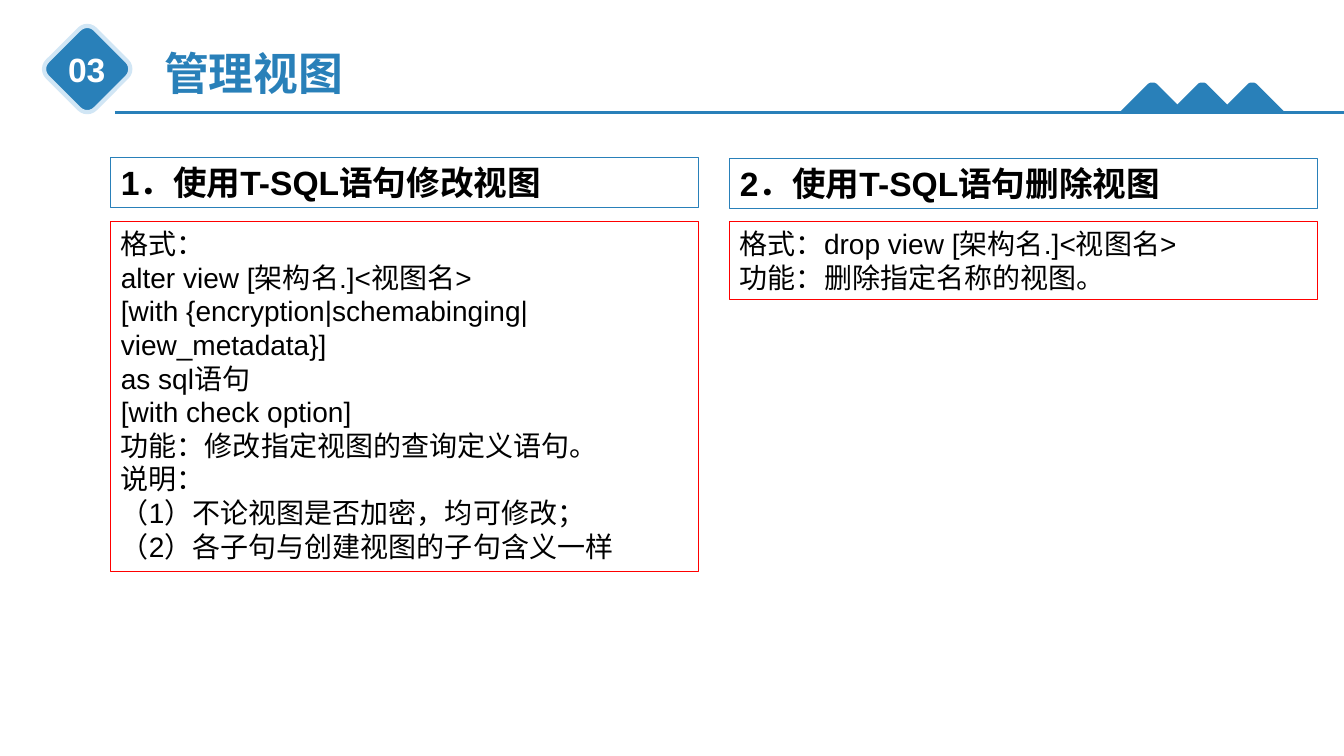
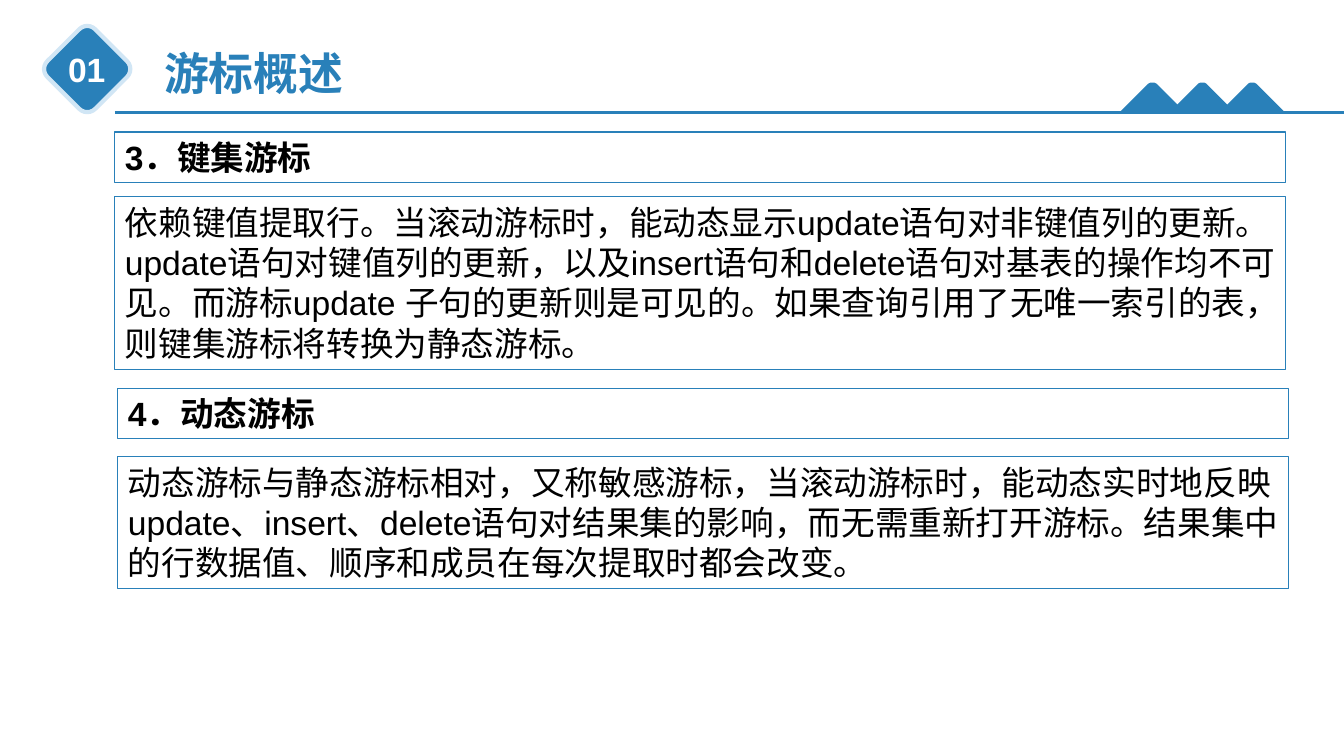
from lxml import etree
from pptx import Presentation
from pptx.dml.color import RGBColor
from pptx.enum import shapes, text
from pptx.oxml import ns
from pptx.util import Inches, Pt

BLUE, PALE, RED, BLACK, WHITE = "2980B9", "D1E6F5", "FF0000", "000000", "FFFFFF"
FONT = "Arial"


def rgb(value):
    return RGBColor.from_string(value)


def set_all(target, values):
    for name, value in values.items():
        setattr(target, name, value)


class Deck:
    """Holds the shared style and the slide being built."""

    HEADING = {"size": Pt(24), "bold": True}
    BODY = {"size": Pt(24), "bold": False}
    SYNTAX = {"size": Pt(20), "bold": False}
    TITLE = {"size": Pt(32), "bold": True}

    def __init__(self):
        self.prs = Presentation()
        set_all(self.prs, {"slide_width": Inches(13.33), "slide_height": Inches(7.5)})
        self.slide = None

    def new_slide(self, number, title):
        self.slide = self.prs.slides.add_slide(self.prs.slide_layouts[6])
        self.badge()
        self.rule()
        self.label(1.53, 0.4, 2, 0.64, title, self.TITLE, BLUE, text.PP_ALIGN.LEFT)
        self.label(0.57, 0.44, 0.58, 0.5, number, self.HEADING, WHITE, text.PP_ALIGN.CENTER)
        for index in range(3):
            self.peak(11.43 + 0.495 * index)

    def paint(self, shape, fill=None, line=None, width=0.75):
        shape.shadow.inherit = False
        for part, color in ((shape.fill, fill), (shape.line.fill, line)):
            if color:
                part.solid()
                part.fore_color.rgb = rgb(color)
            else:
                part.background()
        if line:
            shape.line.width = Pt(width)

    def fill_text(self, frame, lines, style, color, align=text.PP_ALIGN.LEFT, wrap=True):
        set_all(frame, {"word_wrap": wrap,
                        "auto_size": text.MSO_AUTO_SIZE.SHAPE_TO_FIT_TEXT,
                        "vertical_anchor": text.MSO_ANCHOR.TOP})
        for index, line in enumerate(lines):
            paragraph = frame.add_paragraph() if index else frame.paragraphs[0]
            paragraph.alignment = align
            run = paragraph.add_run()
            run.text = line
            set_all(run.font, {"name": FONT, **style})
            run.font.color.rgb = rgb(color)
            # East Asian glyphs follow the same font
            east_asian = etree.SubElement(run._r.get_or_add_rPr(), ns.qn("a:ea"))
            east_asian.set("typeface", FONT)

    def badge(self):
        diamond = self.slide.shapes.add_shape(
            shapes.MSO_SHAPE.ROUNDED_RECTANGLE,
            Inches(0.53), Inches(0.35), Inches(0.67), Inches(0.67))
        diamond.rotation = 45
        self.paint(diamond, BLUE, PALE, 3)

    def rule(self):
        line = self.slide.shapes.add_connector(
            shapes.MSO_CONNECTOR.STRAIGHT,
            Inches(1.14), Inches(1.12), Inches(13.33), Inches(1.12))
        line.line.color.rgb = rgb(BLUE)
        line.line.width = Pt(2.25)
        etree.SubElement(line._element.spPr, ns.qn("a:effectLst"))

    def peak(self, center, top=0.82):
        # Right half of the rounded tip, mirrored for the left half
        right = [(0.02, 0), (0.04, 0.01), (0.06, 0.03), (0.33, 0.3)]
        left = [(-x, y) for x, y in reversed(right)]
        points = [(Inches(center + x), Inches(top + y)) for x, y in right + left]
        builder = self.slide.shapes.build_freeform(*points[0])
        builder.add_line_segments(points[1:], close=True)
        self.paint(builder.convert_to_shape(), BLUE)

    def label(self, left, top, width, height, words, style, color, align):
        box = self.slide.shapes.add_textbox(
            Inches(left), Inches(top), Inches(width), Inches(height))
        self.fill_text(box.text_frame, [words], style, color, align, wrap=False)

    def box(self, left, top, width, height, lines, style, border=BLUE):
        panel = self.slide.shapes.add_shape(
            shapes.MSO_SHAPE.RECTANGLE,
            Inches(left), Inches(top), Inches(width), Inches(height))
        self.paint(panel, line=border)
        self.fill_text(panel.text_frame, lines, style, BLACK)


def main():
    deck = Deck()

    # Managing views: two columns of syntax
    deck.new_slide("03", "管理视图")
    alter_view = [
        "格式：",
        "alter view [架构名.]<视图名>",
        "[with {encryption|schemabinging|view_metadata}]",
        "as sql语句",
        "[with check option]",
        "功能：修改指定视图的查询定义语句。",
        "说明：",
        "（1）不论视图是否加密，均可修改；",
        "（2）各子句与创建视图的子句含义一样",
    ]
    drop_view = ["格式：drop view [架构名.]<视图名>", "功能：删除指定名称的视图。"]
    columns = [
        (1.1, 1.56, "1．使用T-SQL语句修改视图", 3.47, alter_view),
        (7.24, 1.57, "2．使用T-SQL语句删除视图", 0.77, drop_view),
    ]
    for left, top, heading, height, syntax in columns:
        deck.box(left, top, 5.83, 0.5, [heading], deck.HEADING)
        deck.box(left, 2.2, 5.83, height, syntax, deck.SYNTAX, RED)

    # Cursor overview: stacked sections
    deck.new_slide("01", "游标概述")
    keyset = ("依赖键值提取行。当滚动游标时，能动态显示update语句对非键值列的更新。"
              "update语句对键值列的更新，以及insert语句和delete语句对基表的操作均不可见。"
              "而游标update 子句的更新则是可见的。"
              "如果查询引用了无唯一索引的表，则键集游标将转换为静态游标。")
    dynamic = ("动态游标与静态游标相对，又称敏感游标，当滚动游标时，能动态实时地反映"
               "update、insert、delete语句对结果集的影响，而无需重新打开游标。"
               "结果集中的行数据值、顺序和成员在每次提取时都会改变。")
    sections = [
        (1.14, 1.31, "3．键集游标", 1.95, 1.72, keyset),
        (1.17, 3.85, "4．动态游标", 4.53, 1.31, dynamic),
    ]
    for left, top, heading, body_top, height, body in sections:
        deck.box(left, top, 11.61, 0.5, [heading], deck.HEADING)
        deck.box(left, body_top, 11.61, height, [body], deck.BODY)

    deck.prs.save("out.pptx")


if __name__ == "__main__":
    main()
